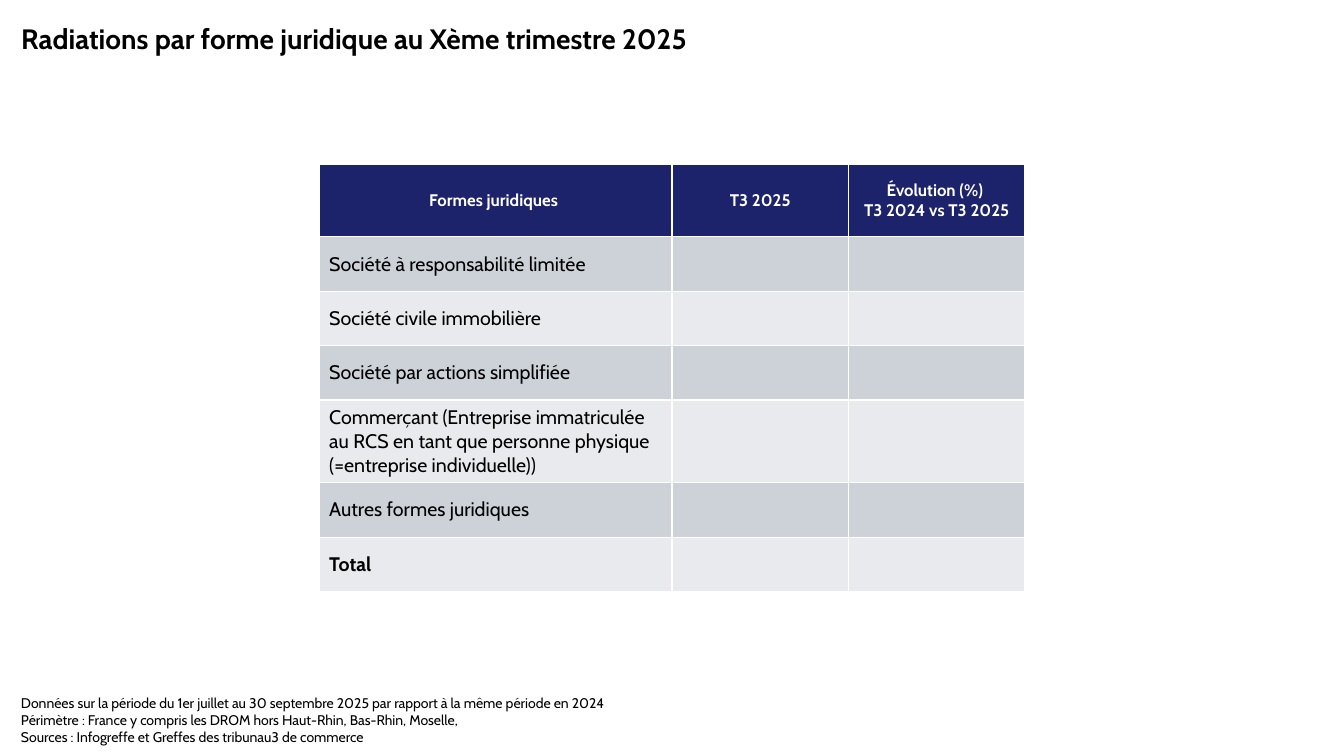
from pptx import Presentation
from pptx.dml.color import RGBColor
from pptx.enum.text import MSO_ANCHOR, MSO_AUTO_SIZE, PP_ALIGN
from pptx.util import Inches, Pt

LEFT, CENTER = PP_ALIGN.LEFT, PP_ALIGN.CENTER
MIDDLE, FIXED = MSO_ANCHOR.MIDDLE, MSO_AUTO_SIZE.NONE
FONT = "Cabin"
HUES = {"ink": "000000", "paper": "FFFFFF", "navy": "1C236B",
        "dark": "CCD2D8", "light": "E8EAED"}
WIDE, HIGH = 13.33, 7.5
EDGE = 0.11
UNIT = 1.75
COLS = [2, 1, 1]
ROW = 0.54

TITLE = "Radiations par forme juridique au Xème trimestre 2025"
HEADS = [["Formes juridiques "], ["T3 2025"],
         ["Évolution (%) ", "T3 2024 vs T3 2025"]]
FORMS = [
    ("Société à responsabilité limitée", 1),
    ("Société civile immobilière", 1),
    ("Société par actions simplifiée", 1),
    ("Commerçant (Entreprise immatriculée au RCS en tant que personne "
     "physique (=entreprise individuelle))", 1.52),
    ("Autres formes juridiques", 1),
    ("Total", 1),
]
NOTES = [
    "Données sur la période du 1er juillet au 30 septembre 2025 par rapport "
    "à la même période en 2024",
    "Périmètre : France y compris les DROM hors Haut-Rhin, Bas-Rhin, Moselle,",
    "Sources : Infogreffe et Greffes des tribunau3 de commerce",
]


def color(name):
    """Return the named colour."""
    return RGBColor.from_string(HUES[name])


def write(frame, lines, size, hue="ink", bold=False, align=LEFT):
    """Write each line as a paragraph of one run."""
    for i, line in enumerate(lines):
        para = frame.add_paragraph() if i else frame.paragraphs[0]
        para.alignment = align
        run = para.add_run()
        run.text = line
        font = run.font
        font.name, font.size, font.bold = FONT, Pt(size), bold
        font.color.rgb = color(hue)


def add_title(slide, box):
    """Place the title placeholder in the box."""
    title = slide.shapes.title
    title.left, title.top, title.width, title.height = map(Inches, box)
    frame = title.text_frame
    frame.auto_size, frame.vertical_anchor = FIXED, MIDDLE
    write(frame, [TITLE], 20, bold=True)


def add_forms(slide, box):
    """Place the table of legal forms in the box."""
    table = slide.shapes.add_table(
        len(FORMS) + 1, len(COLS), *map(Inches, box)).table
    for col, span in zip(table.columns, COLS):
        col.width = Inches(span * box[2] / sum(COLS))
    spans = [span for _, span in FORMS]
    table.rows[0].height = Inches(box[3] - ROW * sum(spans))
    for cell, lines in zip(table.rows[0].cells, HEADS):
        cell.fill.solid()
        cell.fill.fore_color.rgb = color("navy")
        cell.vertical_anchor = MIDDLE
        write(cell.text_frame, lines, 12, "paper", True, CENTER)
    for i, (name, span) in enumerate(FORMS, 1):
        row = table.rows[i]
        row.height = Inches(ROW * span)
        for cell in row.cells:
            cell.fill.solid()
            cell.fill.fore_color.rgb = color("dark" if i % 2 else "light")
            cell.vertical_anchor = MIDDLE
        write(row.cells[0].text_frame, [name], 14, bold=i == len(FORMS))


def add_notes(slide, box):
    """Place the scope and source lines in the box."""
    frame = slide.shapes.add_textbox(*map(Inches, box)).text_frame
    frame.word_wrap = True
    write(frame, NOTES, 10)


def main():
    """Build and save the slide."""
    deck = Presentation()
    deck.slide_width, deck.slide_height = Inches(WIDE), Inches(HIGH)
    slide = deck.slides.add_slide(deck.slide_layouts[5])
    span = UNIT * sum(COLS)
    add_title(slide, (EDGE, EDGE, 11.17, ROW))
    add_forms(slide, ((WIDE - span) / 2, 1.63, span, 4.24))
    add_notes(slide, (EDGE, 6.84, 12.59, 0.61))
    deck.save("out.pptx")


if __name__ == "__main__":
    main()
